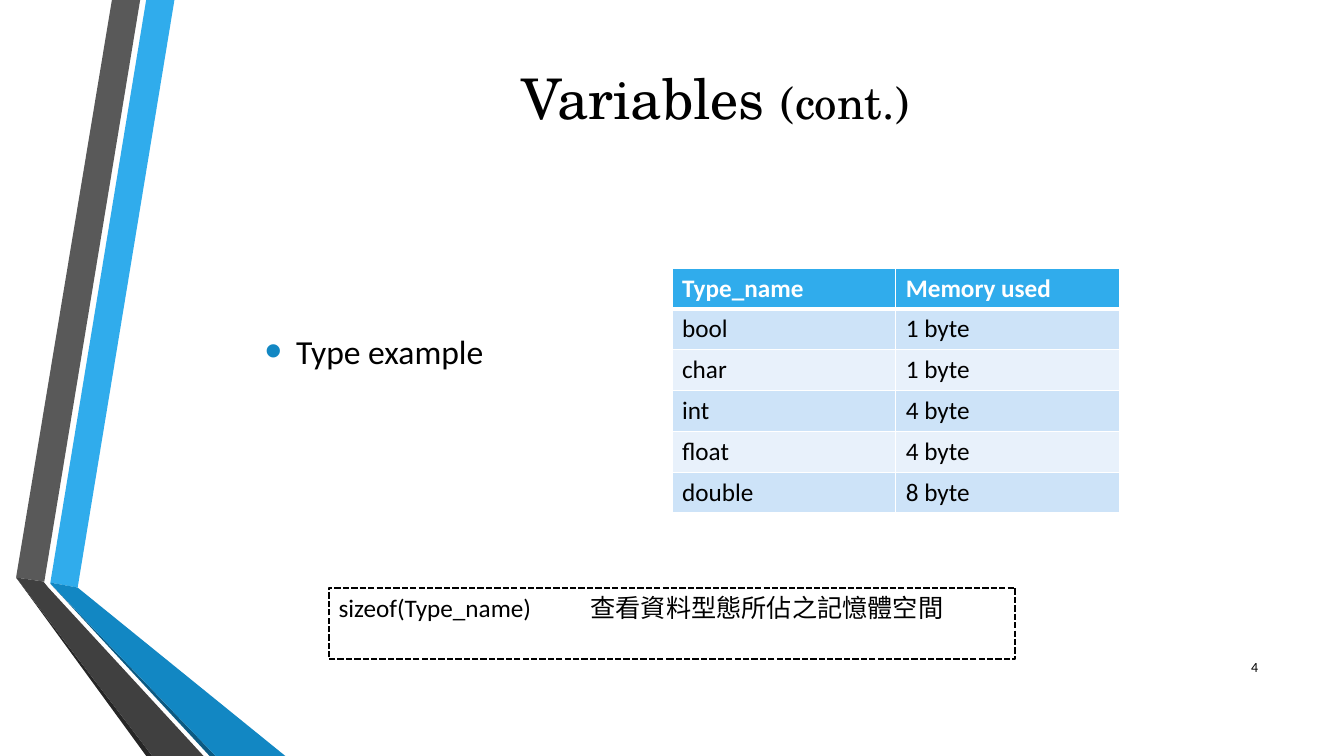
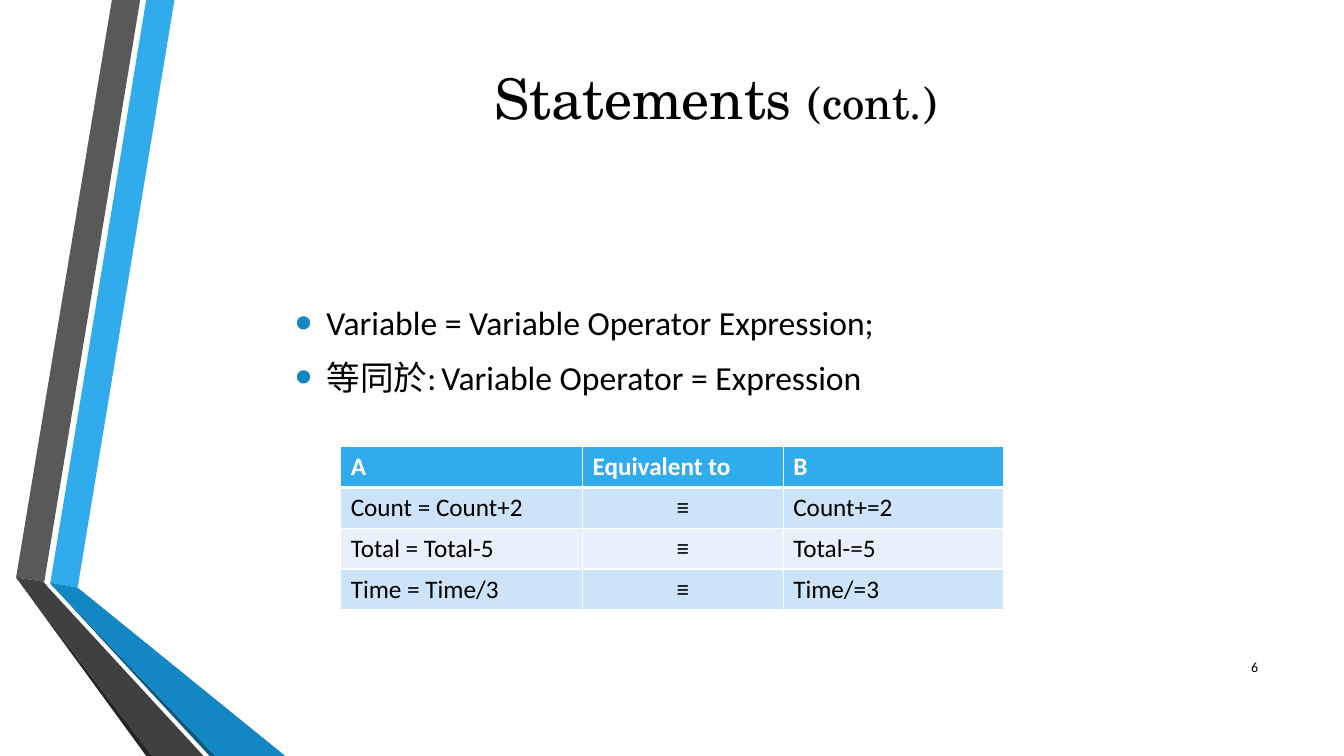
from dataclasses import dataclass

from lxml import etree
from pptx import Presentation
from pptx.dml.color import RGBColor
from pptx.enum.dml import MSO_LINE
from pptx.enum.shapes import MSO_SHAPE
from pptx.enum.text import MSO_ANCHOR, PP_ALIGN
from pptx.oxml.ns import qn
from pptx.util import Inches, Pt

LEFT, CENTER, RIGHT = PP_ALIGN.LEFT, PP_ALIGN.CENTER, PP_ALIGN.RIGHT
TOP, MIDDLE = MSO_ANCHOR.TOP, MSO_ANCHOR.MIDDLE
RECTANGLE, SHORT_DASH = MSO_SHAPE.RECTANGLE, MSO_LINE.SQUARE_DOT


@dataclass(frozen=True)
class Theme:
    black: str = "000000"
    white: str = "FFFFFF"
    blue: str = "30ACEC"
    blue_dark: str = "1287C3"
    blue_deep: str = "0C5A82"
    gray: str = "595959"
    gray_dark: str = "404040"
    gray_deep: str = "262626"
    row_odd: str = "CDE3F8"
    row_even: str = "E8F1FB"
    title_font: str = "TeX Gyre Schola"
    body_font: str = "Calibri"
    title_size: int = 40
    suffix_size: int = 32
    bullet_size: int = 24
    table_size: int = 18
    number_size: int = 10


theme = Theme()

presentation = Presentation()
presentation.slide_width, presentation.slide_height = Inches(13.333), Inches(7.5)
blank_layout = presentation.slide_layouts[6]

# All lengths are in hundredths of the slide's width and height
COLUMN = presentation.slide_width / 100
ROW = presentation.slide_height / 100
TABLE_ROW = 5.4


def area(left, top, width, height):
    return [round(value * unit) for value, unit in
            zip((left, top, width, height), (COLUMN, ROW, COLUMN, ROW))]


def write(paragraph, text, size, font=theme.body_font, color=theme.black,
          bold=False, alignment=LEFT):
    paragraph.alignment = alignment
    run = paragraph.add_run()
    run.text = text
    for name, value in {"size": Pt(size), "name": font, "bold": bold}.items():
        setattr(run.font, name, value)
    run.font.color.rgb = RGBColor.from_string(color)


# Folded bands on the left edge, from back to front
bands = [
    (theme.blue, [(3.75, 77.07), (5.78, 77.73), (12.98, 0), (10.88, 0)]),
    (theme.gray, [(10.43, 0), (8.33, 0), (1.2, 76.4), (3.3, 76.93)]),
    (theme.gray_deep, [(1.2, 76.4), (10.88, 100), (11.33, 100)]),
    (theme.blue_deep, [(3.75, 77.2), (15.6, 100), (16.05, 100)]),
    (theme.blue_dark, [(3.75, 77.07), (3.75, 77.2), (16.05, 100), (21.23, 100),
                       (5.78, 77.73)]),
    (theme.gray_dark, [(15.15, 100), (3.6, 77.73), (3.23, 76.93), (1.2, 76.4),
                       (11.33, 100)]),
]

pages = [
    {
        "title": "Variables ", "number": "4",
        "bullets": ["Type example"], "bullet_area": (18.98, 43.07, 30, 8),
        "table_corner": (50, 35.47), "column_widths": (16.65, 16.65),
        "alignments": (LEFT, LEFT),
        "rows": [("Type_name", "Memory used"), ("bool", "1 byte"),
                 ("char", "1 byte"), ("int", "4 byte"),
                 ("float", "4 byte"), ("double", "8 byte")],
        "note": "sizeof(Type_name)\t查看資料型態所佔之記憶體空間",
    },
    {
        "title": "Statements ", "number": "6",
        "bullets": ["Variable = Variable Operator Expression;",
                    "等同於:\tVariable Operator = Expression"],
        "bullet_area": (21.23, 39.33, 73.13, 14),
        "table_corner": (25.35, 59.07), "column_widths": (18, 14.93, 16.43),
        "alignments": (LEFT, CENTER, LEFT),
        "rows": [("A", "Equivalent to", "B"),
                 ("Count = Count+2", "≡", "Count+=2"),
                 ("Total = Total-5", "≡", "Total-=5"),
                 ("Time = Time/3", "≡", "Time/=3")],
        "note": None,
    },
]

for page in pages:
    slide = presentation.slides.add_slide(blank_layout)

    # Bands
    for color, points in bands:
        start, *others = [(round(x * COLUMN), round(y * ROW)) for x, y in points]
        builder = slide.shapes.build_freeform(*start)
        builder.add_line_segments(others, close=True)
        band = builder.convert_to_shape()
        band.shadow.inherit = False
        band.fill.solid()
        band.fill.fore_color.rgb = RGBColor.from_string(color)
        band.line.fill.background()

    # Title, slide number and bullet list frames
    frames = {}
    for role, place, anchor in (("title", (12.15, 0, 82.2, 25.6), MIDDLE),
                                ("number", (89.85, 85.6, 4.5, 5.33), MIDDLE),
                                ("bullets", page["bullet_area"], TOP)):
        frame = slide.shapes.add_textbox(*area(*place)).text_frame
        frame.word_wrap, frame.vertical_anchor = True, anchor
        frames[role] = frame

    heading = frames["title"].paragraphs[0]
    for text, size in ((page["title"], theme.title_size), ("(cont.)", theme.suffix_size)):
        write(heading, text, size, theme.title_font, alignment=CENTER)
    write(frames["number"].paragraphs[0], page["number"], theme.number_size,
          alignment=RIGHT)

    # Bullets with a hanging indent
    for index, text in enumerate(page["bullets"]):
        frame = frames["bullets"]
        paragraph = frame.add_paragraph() if index else frame.paragraphs[0]
        write(paragraph, text, theme.bullet_size)
        paragraph.space_after = Pt(10)
        properties = paragraph._p.get_or_add_pPr()
        properties.set("marL", str(Inches(0.31)))
        properties.set("indent", str(-Inches(0.31)))
        bullet_color = etree.SubElement(properties, qn("a:buClr"))
        etree.SubElement(bullet_color, qn("a:srgbClr"), val=theme.blue_dark)
        etree.SubElement(properties, qn("a:buSzPct"), val="145000")
        etree.SubElement(properties, qn("a:buFont"), typeface="Arial")
        etree.SubElement(properties, qn("a:buChar"), char="•")
        if "\t" in text:
            tabs = etree.SubElement(properties, qn("a:tabLst"))
            for stop in (1.45, 1.78):
                etree.SubElement(tabs, qn("a:tab"), pos=str(Inches(stop)), algn="l")

    # Table with banded rows and white rules
    rows, widths = page["rows"], page["column_widths"]
    table = slide.shapes.add_table(
        len(rows), len(widths),
        *area(*page["table_corner"], sum(widths), TABLE_ROW * len(rows))).table
    table.horz_banding = False
    for column, width in zip(table.columns, widths):
        column.width = round(width * COLUMN)
    for row_index, texts in enumerate(rows):
        table.rows[row_index].height = round(TABLE_ROW * ROW)
        header = row_index == 0
        fill = theme.blue if header else (theme.row_even, theme.row_odd)[row_index % 2]
        for column_index, text in enumerate(texts):
            cell = table.cell(row_index, column_index)
            cell.fill.solid()
            cell.fill.fore_color.rgb = RGBColor.from_string(fill)
            write(cell.text_frame.paragraphs[0], text, theme.table_size,
                  color=theme.white if header else theme.black, bold=header,
                  alignment=LEFT if header else page["alignments"][column_index])
            borders = {"a:lnL": 1, "a:lnR": 1, "a:lnT": 3 if row_index == 1 else 1,
                       "a:lnB": 3 if header else 1}
            for position, (side, points) in enumerate(borders.items()):
                border = etree.Element(qn(side), w=str(Pt(points)))
                solid = etree.SubElement(border, qn("a:solidFill"))
                etree.SubElement(solid, qn("a:srgbClr"), val=theme.white)
                cell._tc.get_or_add_tcPr().insert(position, border)

    # Dashed note
    if page["note"]:
        note = slide.shapes.add_shape(RECTANGLE, *area(24.45, 77.73, 51.08, 9.47))
        note.shadow.inherit = False
        note.fill.background()
        note.line.color.rgb = RGBColor.from_string(theme.black)
        note.line.width, note.line.dash_style = Pt(1.5), SHORT_DASH
        note.text_frame.word_wrap, note.text_frame.vertical_anchor = True, TOP
        paragraph = note.text_frame.paragraphs[0]
        write(paragraph, page["note"], theme.table_size)
        tabs = etree.SubElement(paragraph._p.get_or_add_pPr(), qn("a:tabLst"))
        etree.SubElement(tabs, qn("a:tab"), pos=str(Inches(2.5)), algn="l")

presentation.save("out.pptx")
